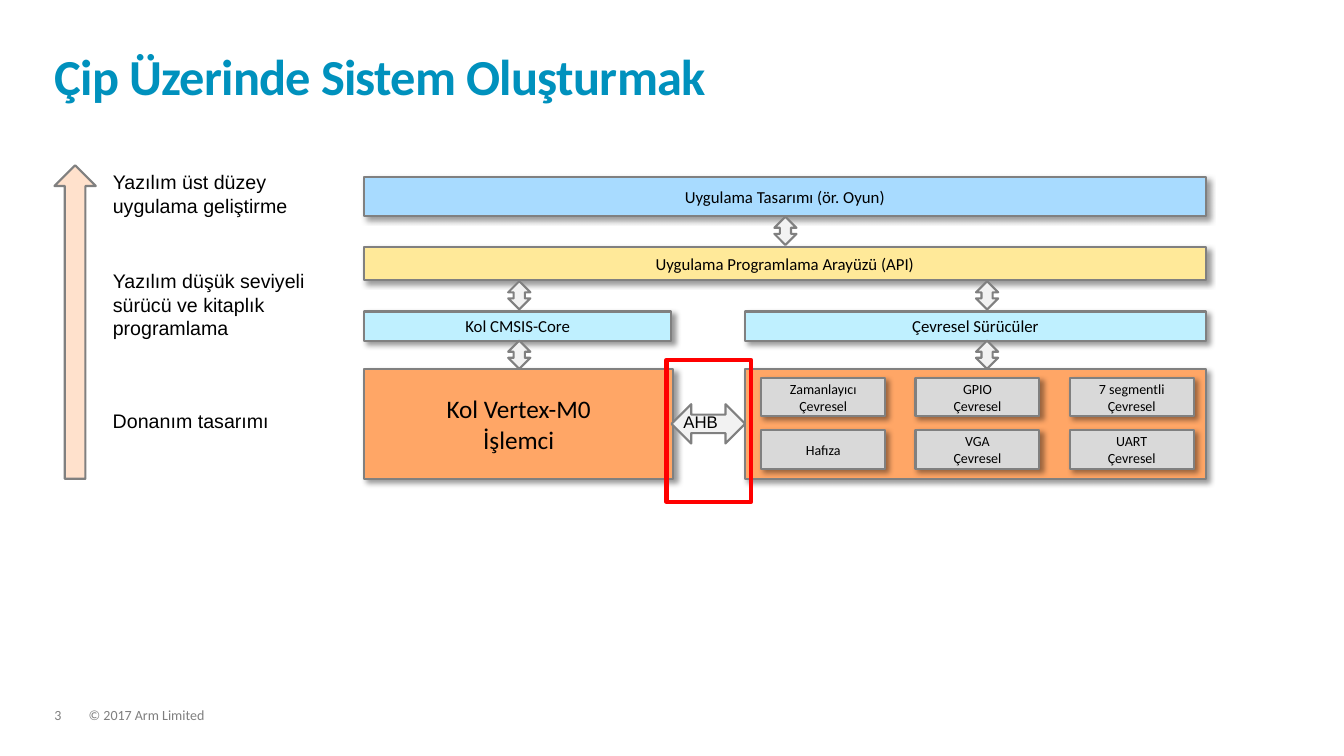
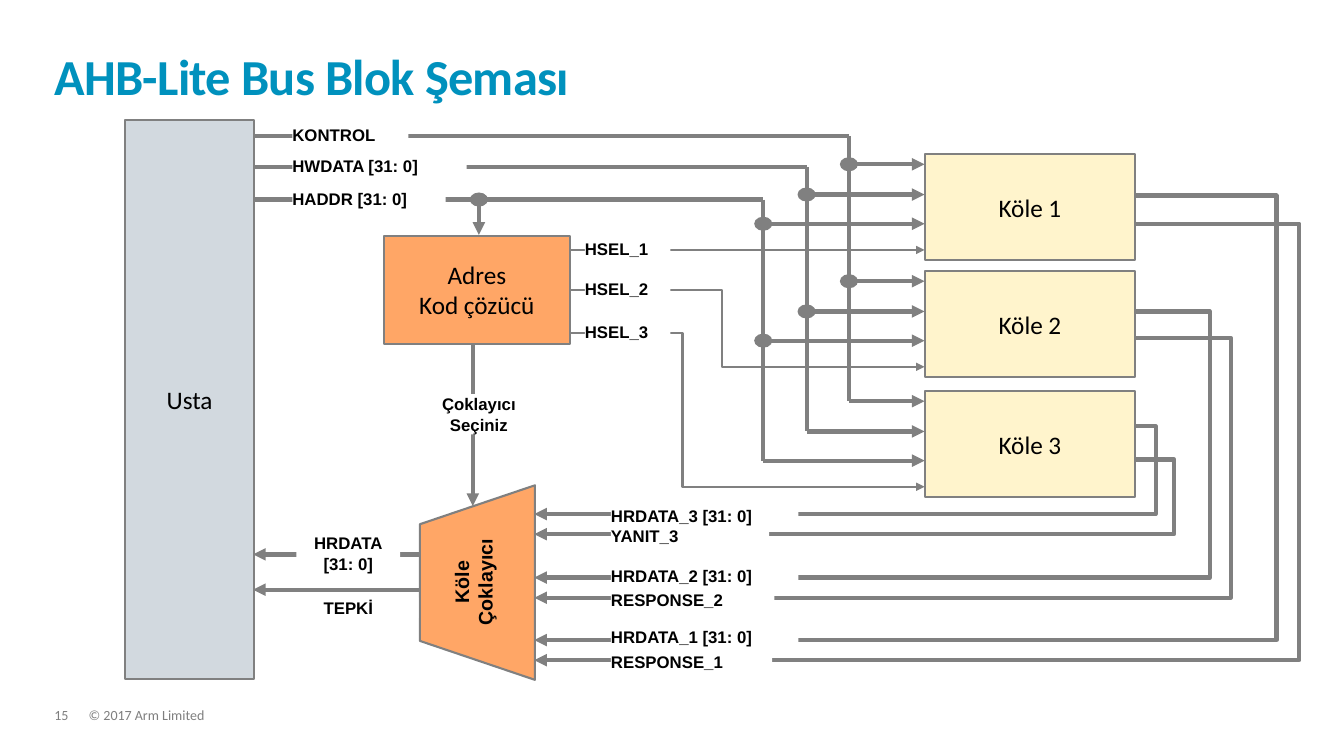
from itertools import product
from lxml.etree import SubElement
from pptx import Presentation
from pptx.dml.color import RGBColor
from pptx.enum.shapes import MSO_CONNECTOR, MSO_SHAPE
from pptx.enum.text import MSO_ANCHOR, PP_ALIGN
from pptx.oxml.ns import qn
from pptx.util import Inches, Pt

INK = {
    "title": "0091BD", "foot": "7F7F7F", "text": "000000", "line": "808080",
    "white": "FFFFFF", "red": "FF0000", "orange": "FFA666", "peach": "FFE1CC",
    "blue": "A8DBFF", "cyan": "BFF0FF", "gold": "FFE999", "cream": "FFF4CC",
    "silver": "D9D9D9", "steel": "D2D9DF", "pale": "F2F2F2",
}


def cell(n):
    """Turn grid cells, ten to the inch, into a length."""
    return Inches(n / 10)


def hue(name):
    """Look up a named colour."""
    return RGBColor.from_string(INK[name])


class Deck:
    """Hold the style and the current slide."""

    def __init__(self, cols, rows):
        """Start an empty deck of the given grid size."""
        self.prs = Presentation()
        self.prs.slide_width, self.prs.slide_height = cell(cols), cell(rows)

    def page(self, title, num):
        """Add a slide with its title and footer."""
        self.slide = self.prs.slides.add_slide(self.prs.slide_layouts[6])
        for x, w, text in ((8.8, 91.3, "© 2017 Arm Limited"), (5.4, 3.4, str(num))):
            foot = self.text(x, 70.3, w, 1.5, text, 10, "foot", face="Calibri", inset=0)
            foot.paragraphs[0].line_spacing = 0.9
        head = self.text(5.4, 3.2, 122.3, 7.3, title, 36, "title", True, "Calibri", 0)
        head.vertical_anchor = MSO_ANCHOR.BOTTOM
        para = head.paragraphs[0]
        para.line_spacing = 0.85
        para.runs[0].font._element.set("spc", "-50")

    def style(self, frame, text, size, ink="text", bold=False, face="Arial", mid=False):
        """Fill a frame with styled text."""
        frame.text = text
        for para in frame.paragraphs:
            para.alignment = PP_ALIGN.CENTER if mid else PP_ALIGN.LEFT
            for run in para.runs:
                font = run.font
                font.size, font.bold, font.name = Pt(size), bold, face
                font.color.rgb = hue(ink)

    def pad(self, frame, inset):
        """Set insets, half as deep above and below."""
        frame.margin_left = frame.margin_right = cell(inset)
        frame.margin_top = frame.margin_bottom = cell(inset / 2)

    def text(self, x, y, w, h, text, size, ink="text", bold=False, face="Arial",
             inset=1, mid=False, turn=0):
        """Add a wrapped text box and return its frame."""
        box = self.slide.shapes.add_textbox(cell(x), cell(y), cell(w), cell(h))
        box.rotation = turn
        frame = box.text_frame
        frame.word_wrap = True
        self.pad(frame, inset)
        self.style(frame, text, size, ink, bold, face, mid)
        return frame

    def shape(self, x, y, w, h, fill=None, kind=MSO_SHAPE.RECTANGLE, edge="line",
              thick=1.5, turn=0):
        """Add a flat preset shape."""
        shape = self.slide.shapes.add_shape(kind, cell(x), cell(y), cell(w), cell(h))
        shape.shadow.inherit = False
        shape.rotation = turn
        if fill:
            shape.fill.solid()
            shape.fill.fore_color.rgb = hue(fill)
        else:
            shape.fill.background()
        if edge:
            shape.line.color.rgb, shape.line.width = hue(edge), Pt(thick)
        else:
            shape.line.fill.background()
        return shape

    def block(self, x, y, w, h, fill, text="", size=18, shade=False):
        """Add a box with centred text and maybe a shadow."""
        shape = self.shape(x, y, w, h, fill)
        if text:
            frame = shape.text_frame
            frame.word_wrap = False
            frame.vertical_anchor = MSO_ANCHOR.MIDDLE
            self.style(frame, text, size, face="Calibri", mid=True)
        if shade:
            cast = SubElement(shape.element.spPr.find(qn("a:effectLst")), qn("a:outerShdw"),
                              blurRad=str(Pt(4)), dist=str(Pt(3)), dir="2700000",
                              algn="tl", rotWithShape="0")
            tone = SubElement(cast, qn("a:srgbClr"), val=INK["text"])
            SubElement(tone, qn("a:alpha"), val="40000")

    def label(self, x, y, w, text, h=2, mid=False):
        """Add a white tag that breaks a wire."""
        frame = self.shape(x, y, w, h, "white", edge=None).text_frame
        frame.word_wrap = True
        frame.vertical_anchor = MSO_ANCHOR.TOP
        self.pad(frame, 0)
        self.style(frame, text, 12, bold=True, mid=mid)

    def arrow(self, x, y):
        """Add a small two-way arrow centred on a column."""
        self.shape(x - 1.1, y, 2.2, 2.8, "pale", MSO_SHAPE.UP_DOWN_ARROW)

    def dot(self, x, y):
        """Mark a junction."""
        self.shape(x - 0.9, y - 0.7, 1.8, 1.4, "line", MSO_SHAPE.OVAL, None)

    def wire(self, x, y, to_x, to_y, bend=None, tip=True, thick=3):
        """Draw a straight wire, or one that turns at a column."""
        kind = MSO_CONNECTOR.ELBOW if bend else MSO_CONNECTOR.STRAIGHT
        link = self.slide.shapes.add_connector(kind, cell(x), cell(y), cell(to_x), cell(to_y))
        link.line.color.rgb, link.line.width = hue("line"), Pt(thick)
        prop = link.element.spPr
        if bend:
            share = round((bend - x) / (to_x - x) * 100000)
            geom = prop.find(qn("a:prstGeom"))
            vals = geom.find(qn("a:avLst"))
            if vals is None:
                vals = SubElement(geom, qn("a:avLst"))
            SubElement(vals, qn("a:gd"), name="adj1", fmla=f"val {share}")
        if tip:
            SubElement(prop.find(qn("a:ln")), qn("a:tailEnd"), type="triangle")
        SubElement(prop, qn("a:effectLst"))


def stack(deck):
    """Build the system layer slide."""
    deck.page("Çip Üzerinde Sistem Oluşturmak", 3)
    for x, y, w, h, fill, text, size in (
        (73.9, 36.6, 45.7, 10.9, "orange", "", 18),
        (36.1, 36.6, 30.7, 10.9, "orange", "Kol Vertex-M0\nİşlemci", 18),
        (36.1, 30.9, 30.5, 2.9, "cyan", "Kol CMSIS-Core", 12),
        (73.9, 30.9, 45.7, 2.9, "cyan", "Çevresel Sürücüler", 12),
        (36.1, 24.5, 83.5, 3.3, "gold", "Uygulama Programlama Arayüzü (API)", 12),
        (36.1, 17.6, 83.5, 3.8, "blue", "Uygulama Tasarımı (ör. Oyun)", 12),
    ):
        deck.block(x, y, w, h, fill, text, size, True)
    parts = ("Zamanlayıcı\nÇevresel", "GPIO\nÇevresel", "7 segmentli\nÇevresel",
             "Hafıza", "VGA\nÇevresel", "UART\nÇevresel")
    for (row, col), text in zip(product(range(2), range(3)), parts):
        deck.block(75.5 + 15.3 * col, 37.5 + 5.2 * row, 12.3, 3.8, "silver", text, 10, True)
    deck.arrow(77.9, 21.5)
    for x, y in product((51.5, 97.9), (27.9, 33.8)):
        deck.arrow(x, y)
    deck.shape(5.4, 16.4, 4.1, 31.1, "peach", MSO_SHAPE.UP_ARROW)
    for y, w, h, text in (
        (16.4, 30.2, 5.7, "Yazılım üst düzey\nuygulama geliştirme"),
        (26.2, 25.9, 5.7, "Yazılım düşük seviyeli sürücü ve kitaplık programlama"),
        (40.1, 24.4, 3.4, "Donanım tasarımı"),
    ):
        deck.text(10.2, y, w, h, text, 14)
    bus = deck.shape(68.3, 38.4, 3.9, 7.3, "pale", MSO_SHAPE.UP_DOWN_ARROW, turn=90)
    bus.adjustments[0], bus.adjustments[1] = 0.57, 0.47
    deck.text(66.8, 40.4, 8.3, 3, "AHB", 12)
    deck.shape(66.1, 35.7, 8.4, 14.1, edge="red", thick=3)


def scheme(deck):
    """Build the bus block diagram slide."""
    deck.page("AHB-Lite Bus Blok Şeması", 15)
    left, right, width = 25.1, 91.7, 20.9
    tops = (15.3, 26.9, 38.8)
    deck.block(12.4, 11.9, 12.8, 55.5, "steel", "Usta")
    deck.shape(37.7, 52.1, 19.3, 11.4, "orange", MSO_SHAPE.FLOWCHART_MANUAL_OPERATION, turn=90)
    deck.text(40, 54.9, 13.9, 5.7, "Köle\nÇoklayıcı", 14, bold=True, mid=True, turn=270)

    for x, y, gap, text, w in (
        (84.2, 13.5, 1, "KONTROL", 11.5),
        (80, 16.6, 4, "HWDATA [31: 0]", 17.3),
        (75.7, 19.8, 6.9, "HADDR [31: 0]", 15.2),
    ):
        deck.wire(left, y, x, y, tip=False)
        deck.wire(x, y, x, tops[-1] + gap, tip=False)
        for top in tops:
            deck.wire(x, top + gap, right, top + gap)
        for top in tops[:-1]:
            deck.dot(x, top + gap)
        deck.label(29, y - 1.1, w, text)

    deck.wire(47.5, 19.8, 47.5, 23.3)
    deck.dot(47.5, 19.8)
    deck.wire(46.9, 33.5, 46.9, 50.2)
    deck.label(39.9, 39.1, 15.2, "Çoklayıcı\nSeçiniz", 4, True)

    picks = ((24.8, None), (28.8, 71.6), (33, 67.7))
    for num, (top, (y, bend)) in enumerate(zip(tops, picks), 1):
        deck.wire(56.5, y, right, top + 9.5, bend, thick=1.5)
        deck.label(58, y - 1.1, 8.5, f"HSEL_{num}")
        deck.block(right, top, width, 10.5, "cream", f"Köle {num}")
    deck.block(38.1, 23.4, 18.4, 10.7, "orange", "Adres\nKod çözücü")

    backs = (
        (42.3, 51, 114.6, 50.2, 18.6, "HRDATA_3 [31: 0]"),
        (45.6, 53, 116.5, 52.2, 15.7, "YANIT_3"),
        (30.9, 57.3, 120, 56.1, 18.6, "HRDATA_2 [31: 0]"),
        (33.5, 59.3, 122.1, 58.5, 16.2, "RESPONSE_2"),
        (19.4, 63.5, 126.6, 62.2, 18.6, "HRDATA_1 [31: 0]"),
        (22.2, 65.5, 128.9, 64.7, 16, "RESPONSE_1"),
    )
    for y, to_y, bend, *_ in backs:
        deck.wire(right + width, y, 53, to_y, bend)
    for *_, y, w, text in backs:
        deck.label(60.6, y, w, text)

    for y in (55, 58.5):
        deck.wire(41.6, y, left, y)
    deck.label(29.4, 52.9, 10.3, "HRDATA\n[31: 0]", 4, True)
    deck.label(27.6, 59.3, 13.9, "TEPKİ", mid=True)


def main():
    """Build and save both slides."""
    deck = Deck(133.3, 75)
    stack(deck)
    scheme(deck)
    deck.prs.save("out.pptx")


if __name__ == "__main__":
    main()
